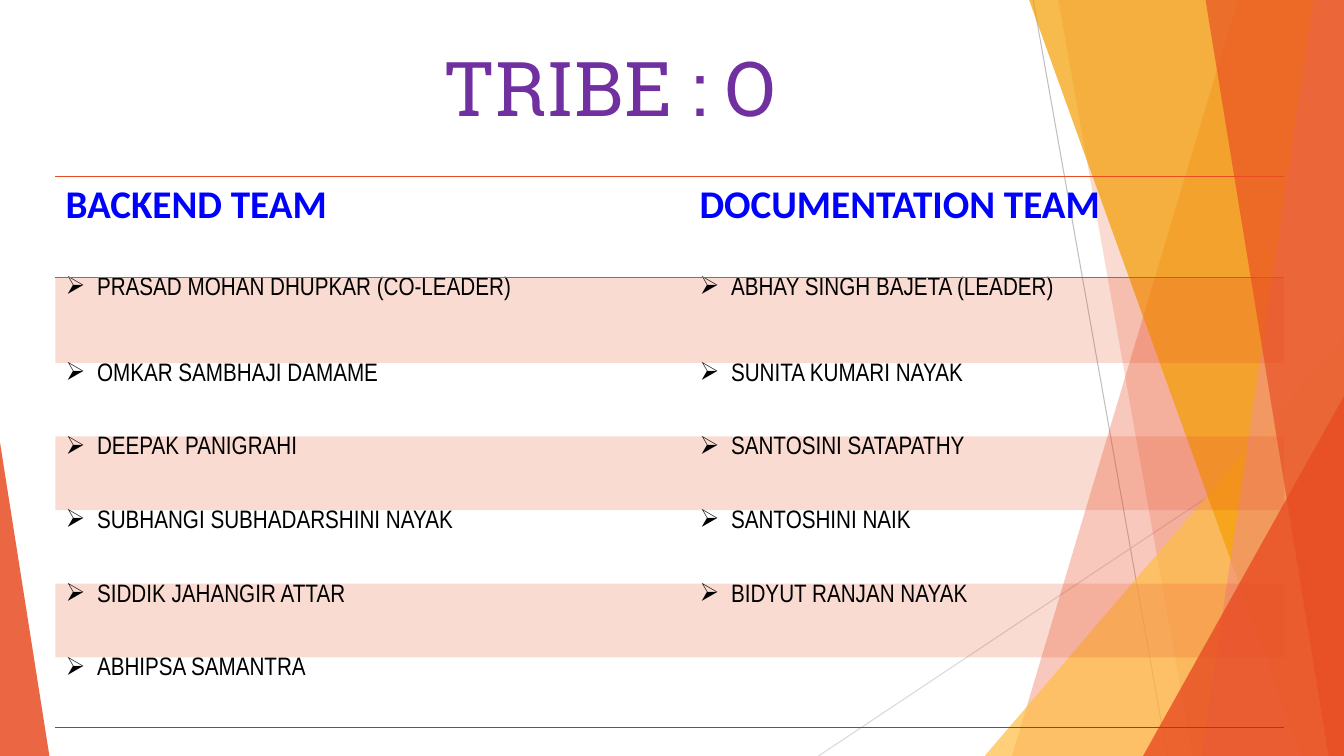
"""Build the Tribe O slide listing its backend and documentation teams."""
from lxml.etree import SubElement
from pptx import Presentation
from pptx.dml.color import RGBColor
from pptx.enum.shapes import MSO_SHAPE as Preset
from pptx.enum.text import MSO_ANCHOR as Anchor, MSO_AUTO_SIZE as AutoSize, PP_ALIGN as Align
from pptx.oxml import parse_xml
from pptx.oxml.ns import nsdecls, qn
from pptx.util import Pt

ORANGE = RGBColor(0xE8, 0x4C, 0x22)
GOLD = RGBColor(0xFF, 0xBD, 0x47)
AMBER = RGBColor(0xF4, 0x9D, 0x00)
SALMON = RGBColor(0xF1, 0x94, 0x7A)
PURPLE = RGBColor(0x70, 0x30, 0xA0)
BLUE = RGBColor(0x00, 0x00, 0xFF)
BLACK = RGBColor(0x00, 0x00, 0x00)
DARK_GREY = RGBColor(0x59, 0x59, 0x59)
GREY = RGBColor(0xBF, 0xBF, 0xBF)
LIGHT_GREY = RGBColor(0xD9, 0xD9, 0xD9)

WIDTH, HEIGHT = 960, 540
TITLE = "TRIBE : O"
TEAMS = {
    "BACKEND TEAM": [
        "PRASAD MOHAN DHUPKAR (CO-LEADER)", "OMKAR SAMBHAJI DAMAME", "DEEPAK PANIGRAHI",
        "SUBHANGI SUBHADARSHINI NAYAK", "SIDDIK JAHANGIR ATTAR", "ABHIPSA SAMANTRA",
    ],
    "DOCUMENTATION TEAM": [
        "ABHAY SINGH BAJETA (LEADER)", "SUNITA KUMARI NAYAK", "SANTOSINI SATAPATHY",
        "SANTOSHINI NAIK", "BIDYUT RANJAN NAYAK",
    ],
}
COLUMN_WIDTHS = [452.9, 424.8]
ROW_HEIGHTS = [72, 61.2] + [52.6] * 4 + [50.4]
NO_STYLE = "{2D5ABB26-0587-4C30-8999-92F81FD0307C}"

HAIRLINES = [((738, 0), (833.8, HEIGHT), GREY), ((WIDTH, 290.2), (584.6, HEIGHT), LIGHT_GREY)]
BACK_BANDS = [(884.2, 722.9, ORANGE, 30), (756, 851.8, ORANGE, 20)]
FRONT_BANDS = [(735.1, 929.5, AMBER, 70), (938.2, 858.2, SALMON, 70), (861.1, 949, ORANGE, 65)]
GOLD_WEDGE = (703.4, 239.8, WIDTH - 703.4, 1, GOLD, 72)
RED_WEDGES = [(816.5, 283, WIDTH - 816.5, 1, ORANGE, 80), (0, 316.1, 35.3, 0, ORANGE, 85)]


def paint(fill, props, colour, opacity):
    fill.solid()
    fill.fore_color.rgb = colour
    tone = props.find(qn("a:solidFill")).find(qn("a:srgbClr"))
    SubElement(tone, qn("a:alpha"), val=str(opacity * 1000))


def finish(shape, colour, opacity):
    shape.shadow.inherit = False
    shape.line.fill.background()
    paint(shape.fill, shape.element.spPr, colour, opacity)


def add_hairline(start, end, colour):
    line = page.shapes.add_connector(1, *(Pt(value) for value in start + end))
    line.line.color.rgb = colour
    line.line.width = Pt(0.75)
    SubElement(line.element.spPr, qn("a:effectLst"))


def add_band(top_x, bottom_x, colour, opacity):
    outline = page.shapes.build_freeform(Pt(top_x), 0)
    corners = [(WIDTH, 0), (WIDTH, HEIGHT), (bottom_x, HEIGHT)]
    outline.add_line_segments([(Pt(x), Pt(y)) for x, y in corners], close=True)
    finish(outline.convert_to_shape(), colour, opacity)


def add_wedge(left, top, width, apex, colour, opacity):
    wedge = page.shapes.add_shape(
        Preset.ISOSCELES_TRIANGLE, Pt(left), Pt(top), Pt(width), Pt(HEIGHT - top))
    wedge.adjustments[0] = apex
    finish(wedge, colour, opacity)


def add_span(para, text, font, size, colour, bold=False):
    span = para.add_run()
    span.text = text
    span.font.name, span.font.size, span.font.bold = font, Pt(size), bold
    span.font.color.rgb = colour


def add_border(cell, side, colour):
    cell._tc.get_or_add_tcPr().insert(0, parse_xml(
        f'<a:{side} {nsdecls("a")} w="{Pt(1)}"><a:solidFill>'
        f'<a:srgbClr val="{colour}"/></a:solidFill></a:{side}>'))


def add_bullet(para):
    props = para._p.get_or_add_pPr()
    props.set("marL", str(Pt(22.5)))
    props.set("indent", str(-Pt(22.5)))
    SubElement(props, qn("a:buChar"), char="\u27a2")


def fill_header(cell, team):
    para = cell.text_frame.paragraphs[0]
    para.alignment = Align.JUSTIFY
    add_span(para, team, "Calibri", 28, BLUE, True)
    cell.fill.background()
    for side in ("lnB", "lnT"):
        add_border(cell, side, ORANGE)


def fill_member(cell, row, members):
    cell.margin_top = cell.margin_bottom = 0
    if row <= len(members):
        para = cell.text_frame.paragraphs[0]
        add_bullet(para)
        add_span(para, members[row - 1], "Arial Narrow", 18, BLACK)
    if row % 2:
        paint(cell.fill, cell._tc.get_or_add_tcPr(), ORANGE, 20)
    else:
        cell.fill.background()
    if row == len(ROW_HEIGHTS) - 1:
        add_border(cell, "lnB", DARK_GREY)


deck = Presentation()
deck.slide_width, deck.slide_height = Pt(WIDTH), Pt(HEIGHT)
page = deck.slides.add_slide(deck.slide_layouts[5])

for hairline in HAIRLINES:
    add_hairline(*hairline)
for band in BACK_BANDS:
    add_band(*band)
add_wedge(*GOLD_WEDGE)
for band in FRONT_BANDS:
    add_band(*band)
for wedge in RED_WEDGES:
    add_wedge(*wedge)

title = page.shapes.title
title.left, title.top, title.width, title.height = Pt(186.5), Pt(25.2), Pt(497.5), Pt(72.7)
title.text_frame.auto_size = AutoSize.NONE
title.text_frame.vertical_anchor = Anchor.MIDDLE
heading = title.text_frame.paragraphs[0]
heading.alignment = Align.CENTER
add_span(heading, TITLE, "Roboto Slab", 54, PURPLE)

frame = page.shapes.add_table(
    len(ROW_HEIGHTS), len(TEAMS), Pt(39.6), Pt(126), Pt(sum(COLUMN_WIDTHS)), Pt(sum(ROW_HEIGHTS)))
roster = frame.table
roster.first_row = roster.horz_banding = False
next(frame.element.iter(qn("a:tableStyleId"))).text = NO_STYLE
for row, height in zip(roster.rows, ROW_HEIGHTS):
    row.height = Pt(height)
for column, (team, members) in enumerate(TEAMS.items()):
    roster.columns[column].width = Pt(COLUMN_WIDTHS[column])
    fill_header(roster.cell(0, column), team)
    for row in range(1, len(ROW_HEIGHTS)):
        fill_member(roster.cell(row, column), row, members)

deck.save("out.pptx")
